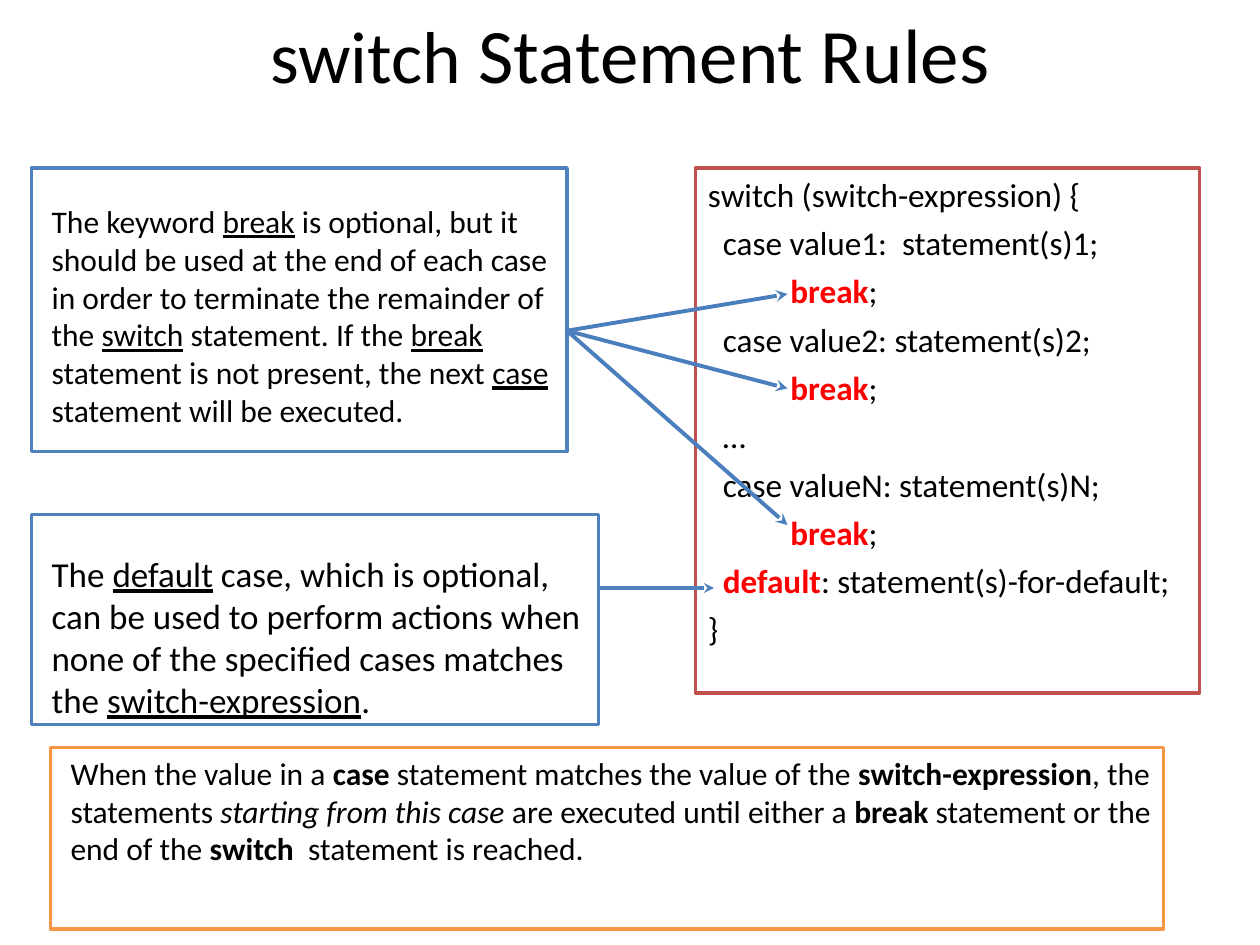
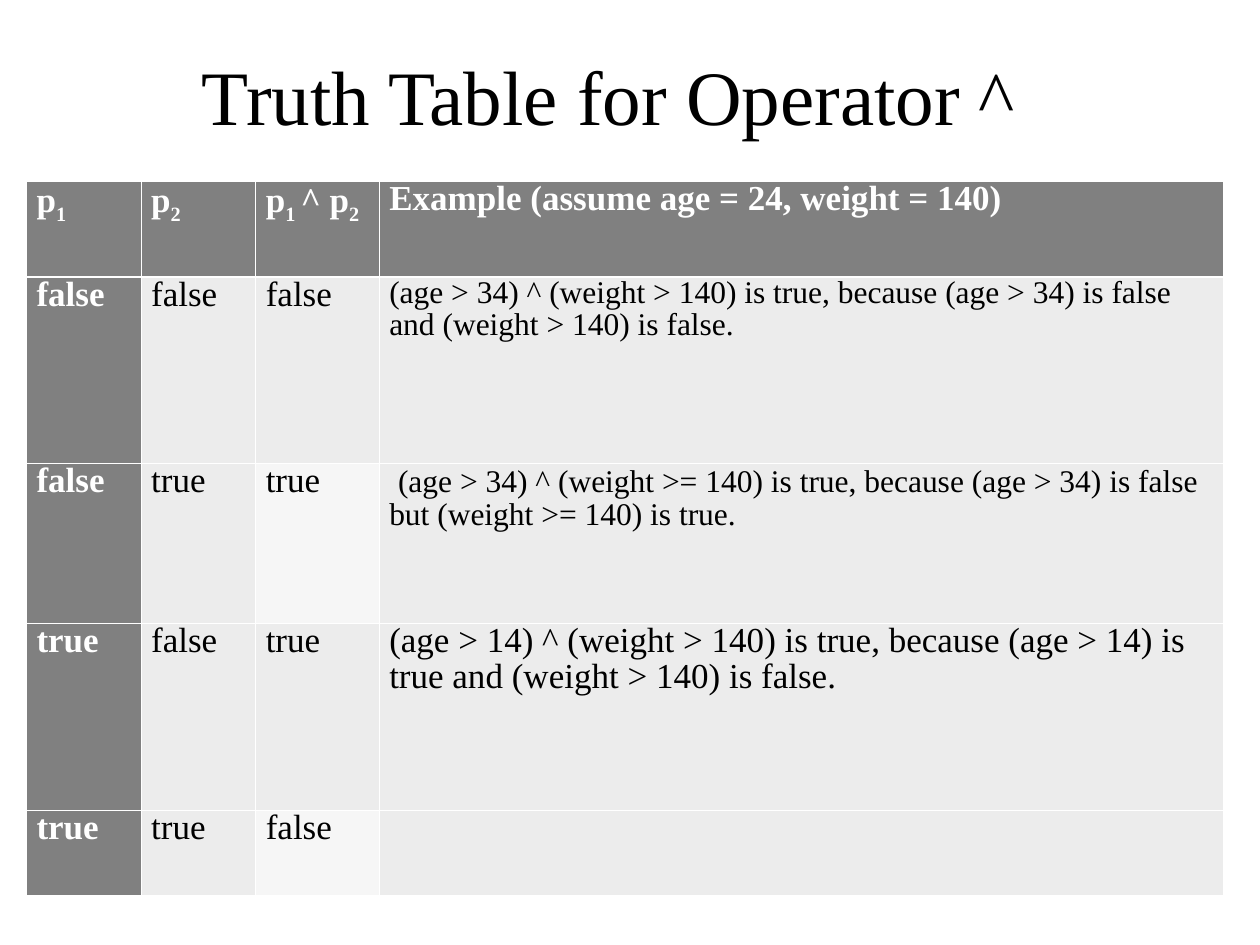
from lxml.etree import SubElement
from pptx import Presentation
from pptx.dml.color import RGBColor
from pptx.enum.shapes import MSO_CONNECTOR, MSO_SHAPE
from pptx.enum.text import MSO_ANCHOR, PP_ALIGN
from pptx.oxml import parse_xml
from pptx.oxml.ns import nsdecls, qn
from pptx.util import Inches, Pt

BLACK = RGBColor(0x00, 0x00, 0x00)
WHITE = RGBColor(0xFF, 0xFF, 0xFF)
RED = RGBColor(0xFF, 0x00, 0x00)
BLUE = RGBColor(0x4F, 0x81, 0xBD)
ARROW_BLUE = RGBColor(0x4B, 0x7E, 0xBC)
BRICK = RGBColor(0xC0, 0x50, 0x4D)
ORANGE = RGBColor(0xF7, 0x96, 0x46)
GREY = RGBColor(0x80, 0x80, 0x80)
PALE = RGBColor(0xEC, 0xEC, 0xEC)
PALER = RGBColor(0xF6, 0xF6, 0xF6)
SANS, SERIF = "Calibri", "Times New Roman"

prs = Presentation()
prs.slide_width, prs.slide_height = Inches(10), Inches(7.5)
U = prs.slide_width / 120  # grid of 120 columns by 90 rows


def grid(*cells):
    return [round(c * U) for c in cells]


def write(p, text, size, font=SANS, color=BLACK):
    """Add runs split at |; return the marked ones (every second part)."""
    marked = []
    for i, part in enumerate(text.split("|")):
        if not part:
            continue
        r = p.add_run()
        r.text = part
        r.font.size, r.font.name = Pt(size), font
        r.font.color.rgb = color
        if i % 2:
            marked.append(r)
    return marked


# Slides with their titles
titles = [
    ((9, 0, 102, 10), "|switch| Statement Rules", SANS),
    ((7, 0, 102, 18), "Truth Table for Operator ^", SERIF),
]
for place, text, font in titles:
    s = prs.slides.add_slide(prs.slide_layouts[5])
    sp = s.shapes.title
    sp.left, sp.top, sp.width, sp.height = grid(*place)
    tf = sp.text_frame
    tf.vertical_anchor = MSO_ANCHOR.MIDDLE
    p = tf.paragraphs[0]
    p.alignment = PP_ALIGN.CENTER
    for r in write(p, text, 44, font):
        r.font.size = Pt(42)
rules, truth = prs.slides

# Rules slide: framed boxes (place, line, size, left and top inset, mark, lines)
code = [
    "switch (switch-expression) {",
    "  case value1:  statement(s)1;",
    "           |break|;",
    "  case value2: statement(s)2;",
    "           |break|;",
    "  …",
    "  case valueN: statement(s)N;",
    "           |break|;",
    "  |default|: statement(s)-for-default;",
    "}",
]
break_rule = (
    "The keyword |break| is optional, but it should be used at the end of each "
    "case in order to terminate the remainder of the |switch| statement. If the "
    "|break| statement is not present, the next |case| statement will be executed."
)
default_rule = (
    "The |default| case, which is optional, can be used to perform actions when "
    "none of the specified cases matches the |switch-expression|."
)
match_rule = (
    "When the value in a |case| statement matches the value of the "
    "|switch-expression|, the statements |starting from this case| are executed "
    "until either a |break| statement or the end of the |switch|  statement is "
    "reached."
)
boxes = [
    ((66.25, 16, 48, 50), BRICK, 19, 0.1, 0.05, "code", code),
    ((3, 16, 51, 27), BLUE, 18, 0.16, 0.27, "underline", [break_rule]),
    ((3, 49, 54, 20), BLUE, 20, 0.16, 0.3, "underline", [default_rule]),
    ((4.8, 71.2, 106, 17.3), ORANGE, 18, 0.16, 0.05, "bold", [match_rule]),
]
for place, line, size, left, top, mark, lines in boxes:
    sp = rules.shapes.add_shape(MSO_SHAPE.RECTANGLE, *grid(*place))
    sp.shadow.inherit = False
    sp.fill.solid()
    sp.fill.fore_color.rgb = WHITE
    sp.line.color.rgb, sp.line.width = line, Pt(2)
    tf = sp.text_frame
    tf.word_wrap, tf.vertical_anchor = True, MSO_ANCHOR.TOP
    tf.margin_left, tf.margin_top = Inches(left), Inches(top)
    for i, text in enumerate(lines):
        p = tf.add_paragraph() if i else tf.paragraphs[0]
        p.alignment = PP_ALIGN.LEFT
        if i:
            p.space_before = Pt(4.8)
        for r in write(p, text, size):
            if mark == "underline":
                r.font.underline = True
            elif r.text == "starting from this case":
                r.font.italic = True
            else:
                r.font.bold = True
            if mark == "code":
                r.font.color.rgb = RED

# Arrows from the rules into the code
arrows = [
    ((54, 31.5, 75, 28), ARROW_BLUE, 2.25),
    ((54, 31.5, 75, 37), ARROW_BLUE, 2.25),
    ((54, 31.5, 75, 50), ARROW_BLUE, 2.25),
    ((57, 56, 68, 56), BLUE, 2),
]
for ends, color, width in arrows:
    c = rules.shapes.add_connector(MSO_CONNECTOR.STRAIGHT, *grid(*ends))
    c.line.color.rgb, c.line.width = color, Pt(width)
    SubElement(c.line._get_or_add_ln(), qn("a:tailEnd"), type="stealth")
    SubElement(c._element.spPr, qn("a:effectLst"))

# Truth table
rows = [
    ("p|1|", "p|2|", "p|1 |^ p|2|", "Example (assume age = 24, weight = 140)"),
    ("false", "false", "false", "(age > 34) ^ (weight > 140) is true, because "
     "(age > 34) is false and (weight > 140) is false."),
    ("false", "true", "true", " |(age > 34) ^ (weight >= 140) is true, because "
     "(age > 34) is false but (weight >= 140) is true."),
    ("true", "false", "true", "(age > 14) ^ (weight > 140) is true, because "
     "(age > 14) is true and (weight > 140) is false."),
    ("true", "true", "false", ""),
]
widths = [0.91, 0.91, 0.98, 6.7]
heights = [0.76, 1.48, 1.27, 1.48, 0.68]
tbl = truth.shapes.add_table(
    len(rows), len(widths), Inches(0.21), Inches(1.44),
    Inches(sum(widths)), Inches(sum(heights))).table
tbl.first_row = tbl.horz_banding = False
for col, w in zip(tbl.columns, widths):
    col.width = Inches(w)
for row, h in zip(tbl.rows, heights):
    row.height = Inches(h)

for i, row in enumerate(rows):
    for j, text in enumerate(row):
        cell = tbl.cell(i, j)
        head = i == 0 or j == 0
        cell.margin_left = cell.margin_right = Inches(0.08)
        cell.margin_top = cell.margin_bottom = 0
        cell.fill.solid()
        cell.fill.fore_color.rgb = (
            GREY if head else PALER if j == 2 and i in (2, 4) else PALE)
        p = cell.text_frame.paragraphs[0]
        p.line_spacing = 0.93
        size = 18 if j == 3 and i == 1 else 20
        marked = write(p, text, size, SERIF, WHITE if head else BLACK)
        for r in p.runs:
            r.font.bold = head
        for r in marked:
            if i == 0:
                r._r.get_or_add_rPr().set("baseline", "-25000")
            else:
                r.font.size = Pt(18)
        # White borders, heavier under the header row
        tcPr = cell._tc.get_or_add_tcPr()
        for k, side in enumerate("LRTB"):
            heavy = (i, side) in ((0, "B"), (1, "T"))
            tcPr.insert(k, parse_xml(
                f'<a:ln{side} {nsdecls("a")} w="{Pt(1.47 if heavy else 0.45)}">'
                f'<a:solidFill><a:srgbClr val="{WHITE}"/></a:solidFill></a:ln{side}>'))

prs.save("out.pptx")
